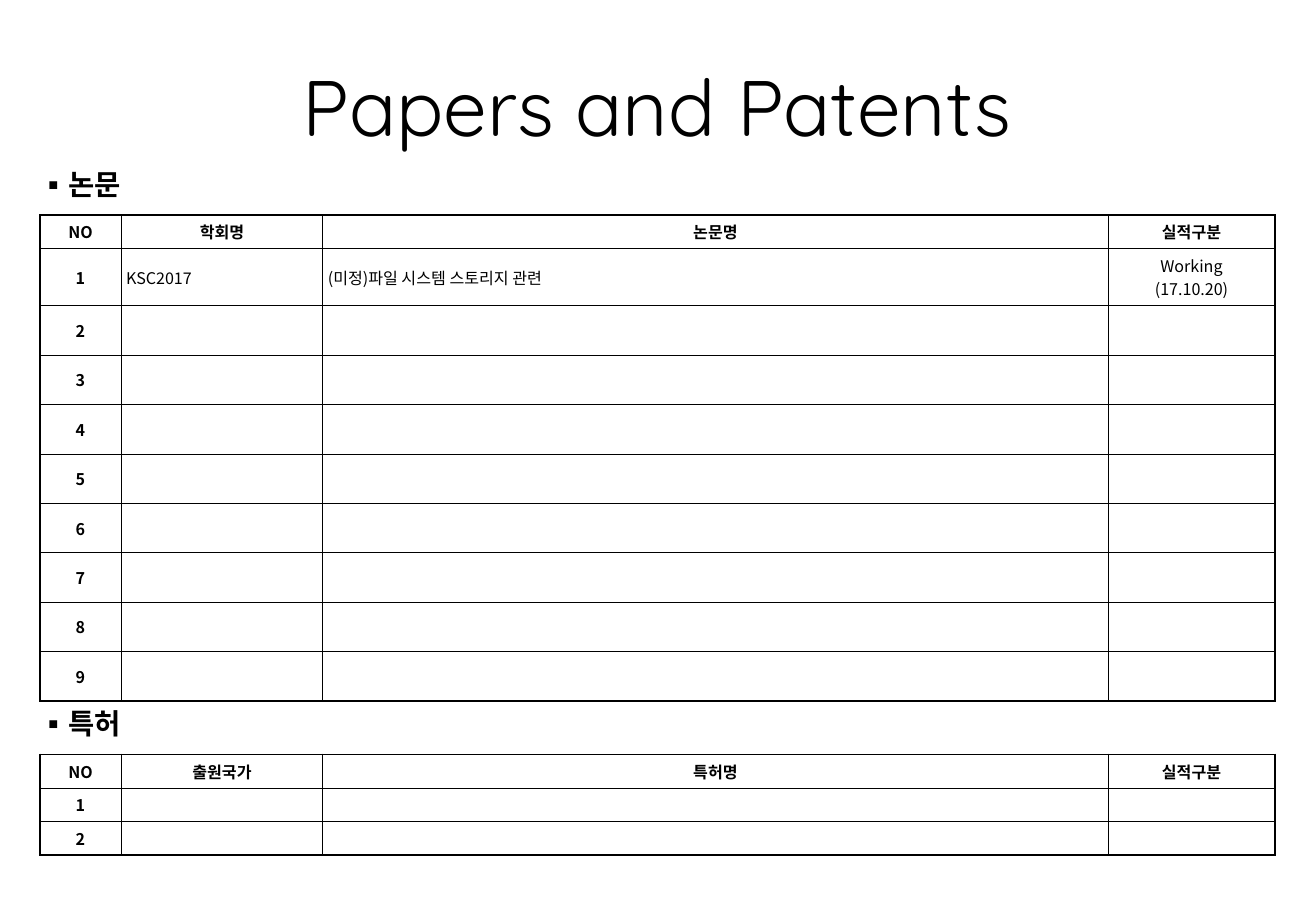
import pptx
import pptx.dml.color
import pptx.enum.text
import pptx.oxml
import pptx.oxml.ns
import pptx.util

Pt = pptx.util.Pt
Align = pptx.enum.text.PP_ALIGN
Anchor = pptx.enum.text.MSO_ANCHOR
NAMESPACE = pptx.oxml.ns.nsdecls("a")

COLORS = {"ink": "000000"}
TITLE_FONT = "Quicksand"
TEXT_FONT = "Noto Sans CJK KR"
LEFT = 22.4
WIDTH = 692
COLUMN_WIDTHS = [45.4, 113.1, 439.9, 93.6]
CELL_MARGIN = 2.88
BULLET_INDENT = 11.5

PAPERS = [
    ["NO", "학회명", "논문명", "실적구분"],
    ["1", "KSC2017", "(미정)파일 시스템 스토리지 관련", "Working\n(17.10.20)"],
] + [[str(number), "", "", ""] for number in range(2, 10)]
PATENTS = [
    ["NO", "출원국가", "특허명", "실적구분"],
] + [[str(number), "", "", ""] for number in range(1, 3)]


def add_xml(parent, xml):
    element = pptx.oxml.parse_xml(xml)
    parent.append(element)
    return element


class PublicationsSlide:
    def __init__(self, deck):
        self.slide = deck.slides.add_slide(deck.slide_layouts[3])

    def place(self, box, left, top, width, height):
        box.left, box.top = Pt(left), Pt(top)
        box.width, box.height = Pt(width), Pt(height)
        frame = box.text_frame
        frame.word_wrap = True
        frame.auto_size = pptx.enum.text.MSO_AUTO_SIZE.NONE
        frame.vertical_anchor = Anchor.MIDDLE
        return frame

    def add_run(self, para, text, size, font=TEXT_FONT, bold=False):
        span = para.add_run()
        span.text = text
        span.font.name = font
        span.font.size = Pt(size)
        span.font.bold = bold
        span.font.color.rgb = pptx.dml.color.RGBColor.from_string(COLORS["ink"])
        add_xml(span.font._element, f'<a:ea {NAMESPACE} typeface="{font}"/>')

    def add_title(self, text):
        frame = self.place(self.slide.shapes.title, 28, 19.4, 680.4, 79.2)
        para = frame.paragraphs[0]
        para.alignment = Align.CENTER
        self.add_run(para, text, 44, TITLE_FONT)

    def add_heading(self, index, text, top):
        frame = self.place(self.slide.placeholders[index], LEFT, top, WIDTH, 22.4)
        frame.margin_left = frame.margin_right = 0
        frame.margin_top = frame.margin_bottom = 0
        para = frame.paragraphs[0]
        para.space_before = Pt(0)
        properties = para._p.get_or_add_pPr()
        properties.set("marL", str(Pt(BULLET_INDENT)))
        properties.set("indent", str(-Pt(BULLET_INDENT)))
        add_xml(properties, f'<a:buFont {NAMESPACE} typeface="{TEXT_FONT}"/>')
        add_xml(properties, f'<a:buChar {NAMESPACE} char="▪"/>')
        self.add_run(para, text, 16, bold=True)

    def add_borders(self, cell, outer_sides):
        """Draw thin cell borders, thicker on the sides at the table's edge."""
        for side in "LRTB":
            width = Pt(1 if side in outer_sides else 0.5)
            add_xml(
                cell._tc.get_or_add_tcPr(),
                f'<a:ln{side} {NAMESPACE} w="{width}"><a:solidFill>'
                f'<a:srgbClr val="{COLORS["ink"]}"/></a:solidFill></a:ln{side}>',
            )

    def fill_cell(self, cell, text, centred, bold):
        cell.fill.background()
        cell.vertical_anchor = Anchor.MIDDLE
        cell.margin_left = cell.margin_right = Pt(CELL_MARGIN)
        cell.margin_top = cell.margin_bottom = Pt(CELL_MARGIN)
        for number, line in enumerate(text.split("\n")):
            frame = cell.text_frame
            para = frame.add_paragraph() if number else frame.paragraphs[0]
            para.alignment = Align.CENTER if centred else Align.LEFT
            if line:
                self.add_run(para, line, 9, bold=bold)
            else:
                add_xml(para._p, f'<a:endParaRPr {NAMESPACE} sz="900"/>')

    def add_table(self, rows, top, header_height, row_height):
        heights = [header_height] + [row_height] * (len(rows) - 1)
        table = self.slide.shapes.add_table(
            len(rows), len(COLUMN_WIDTHS), Pt(LEFT), Pt(top), Pt(WIDTH), Pt(sum(heights))
        ).table
        table.first_row = table.horz_banding = False
        for column, width in zip(table.columns, COLUMN_WIDTHS):
            column.width = Pt(width)
        last_row, last_column = len(rows) - 1, len(COLUMN_WIDTHS) - 1
        for r, texts in enumerate(rows):
            table.rows[r].height = Pt(heights[r])
            for c, text in enumerate(texts):
                edges = {"L": c == 0, "R": c == last_column, "T": r == 0, "B": r == last_row}
                cell = table.cell(r, c)
                self.add_borders(cell, [side for side, outer in edges.items() if outer])
                self.fill_cell(
                    cell,
                    text,
                    centred=r == 0 or c in (0, last_column),
                    bold=r == 0 or c == 0,
                )


def main():
    deck = pptx.Presentation()
    deck.slide_width, deck.slide_height = Pt(737.28), Pt(504.72)
    page = PublicationsSlide(deck)
    page.add_title("Papers and Patents")
    page.add_table(PAPERS, 120.5, 16.6, 27.7)
    page.add_heading(1, "논문", 92.2)
    page.add_heading(2, "특허", 393.8)
    page.add_table(PATENTS, 422.6, 17, 17)
    deck.save("out.pptx")


if __name__ == "__main__":
    main()
